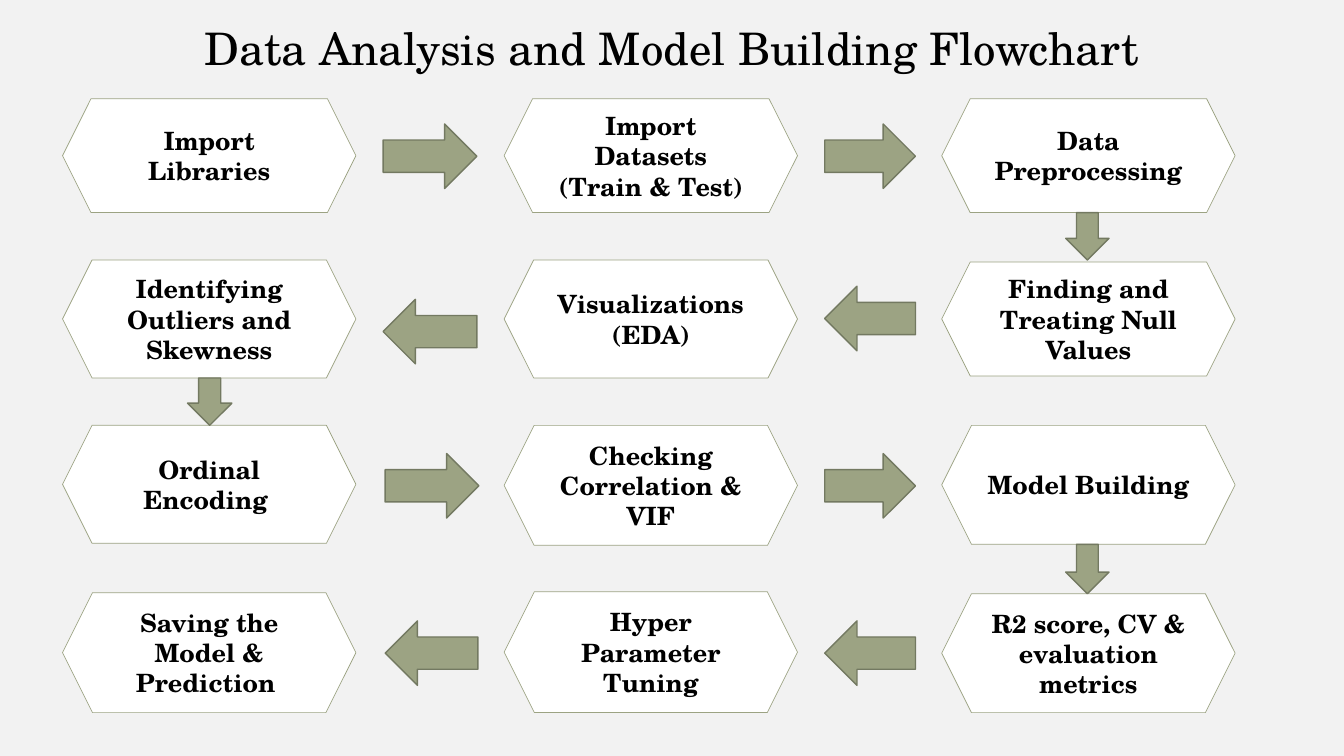
import pptx
import pptx.util
import pptx.dml.color
import pptx.enum.shapes
import pptx.enum.text

Inches = pptx.util.Inches
Pt = pptx.util.Pt
SHAPE = pptx.enum.shapes.MSO_SHAPE
CENTER = pptx.enum.text.PP_ALIGN.CENTER
FONT = "TeX Gyre Schola"


def paint(fmt, color):
    fmt.solid()
    fmt.fore_color.rgb = pptx.dml.color.RGBColor.from_string(color)


def add_block(kind, left, top, width, height, fill, line, line_width):
    sp = s.shapes.add_shape(kind, Inches(left), Inches(top), Inches(width), Inches(height))
    sp.shadow.inherit = False
    paint(sp.fill, fill)
    paint(sp.line.fill, line)
    sp.line.width = Pt(line_width)
    return sp


prs = pptx.Presentation()
prs.slide_width = Inches(13.33)
prs.slide_height = Inches(7.5)
s = prs.slides.add_slide(prs.slide_layouts[6])
paint(s.background.fill, "F2F2F2")

title = s.shapes.add_textbox(0, Inches(0.16), prs.slide_width, Inches(0.64))
tf = title.text_frame
tf.word_wrap = True
tf.auto_size = pptx.enum.text.MSO_AUTO_SIZE.SHAPE_TO_FIT_TEXT
p = tf.paragraphs[0]
p.alignment = CENTER
r = p.add_run()
r.text = "Data Analysis and Model Building Flowchart"
r.font.size = Pt(32)
r.font.name = FONT
paint(r.font.fill, "000000")

column_lefts = [0.62, 5, 9.34]
steps = [
    (0, 0.98, 1.13, ["Import Libraries"]),
    (1, 0.98, 1.13, ["Import Datasets", "(Train & Test)"]),
    (2, 0.98, 1.13, ["Data Preprocessing"]),
    (2, 2.6, 1.13, ["Finding and Treating Null Values"]),
    (1, 2.58, 1.17, ["Visualizations", "(EDA)"]),
    (0, 2.58, 1.17, ["Identifying Outliers and Skewness"]),
    (0, 4.22, 1.17, ["Ordinal Encoding "]),
    (1, 4.22, 1.19, ["Checking Correlation & VIF"]),
    (2, 4.22, 1.18, ["Model Building"]),
    (2, 5.89, 1.18, ["R2 score, CV & evaluation metrics"]),
    (1, 5.87, 1.2, ["Hyper Parameter Tuning"]),
    (0, 5.88, 1.19, ["Saving the Model & Prediction "]),
]
for column, top, height, lines in steps:
    sp = add_block(SHAPE.HEXAGON, column_lefts[column], top, 2.91, height, "FFFFFF", "9CA383", 0.5)
    tf = sp.text_frame
    tf.word_wrap = True
    tf.vertical_anchor = pptx.enum.text.MSO_ANCHOR.MIDDLE
    for i, line in enumerate(lines):
        p = tf.add_paragraph() if i else tf.paragraphs[0]
        p.alignment = CENTER
        r = p.add_run()
        r.text = line
        r.font.size = Pt(18)
        r.font.name = FONT
        r.font.bold = True
        paint(r.font.fill, "000000")

arrows = [
    (SHAPE.RIGHT_ARROW, 3.8, 1.23, 0.93, 0.64),
    (SHAPE.RIGHT_ARROW, 8.18, 1.23, 0.9, 0.64),
    (SHAPE.DOWN_ARROW, 10.57, 2.11, 0.43, 0.47),
    (SHAPE.LEFT_ARROW, 8.18, 2.84, 0.9, 0.64),
    (SHAPE.LEFT_ARROW, 3.8, 2.97, 0.93, 0.64),
    (SHAPE.DOWN_ARROW, 1.86, 3.75, 0.44, 0.47),
    (SHAPE.RIGHT_ARROW, 3.82, 4.5, 0.93, 0.64),
    (SHAPE.RIGHT_ARROW, 8.18, 4.5, 0.9, 0.64),
    (SHAPE.DOWN_ARROW, 10.57, 5.4, 0.43, 0.49),
    (SHAPE.LEFT_ARROW, 8.18, 6.16, 0.9, 0.64),
    (SHAPE.LEFT_ARROW, 3.82, 6.16, 0.92, 0.64),
]
for kind, left, top, width, height in arrows:
    add_block(kind, left, top, width, height, "9CA383", "737961", 1)

prs.save("out.pptx")
